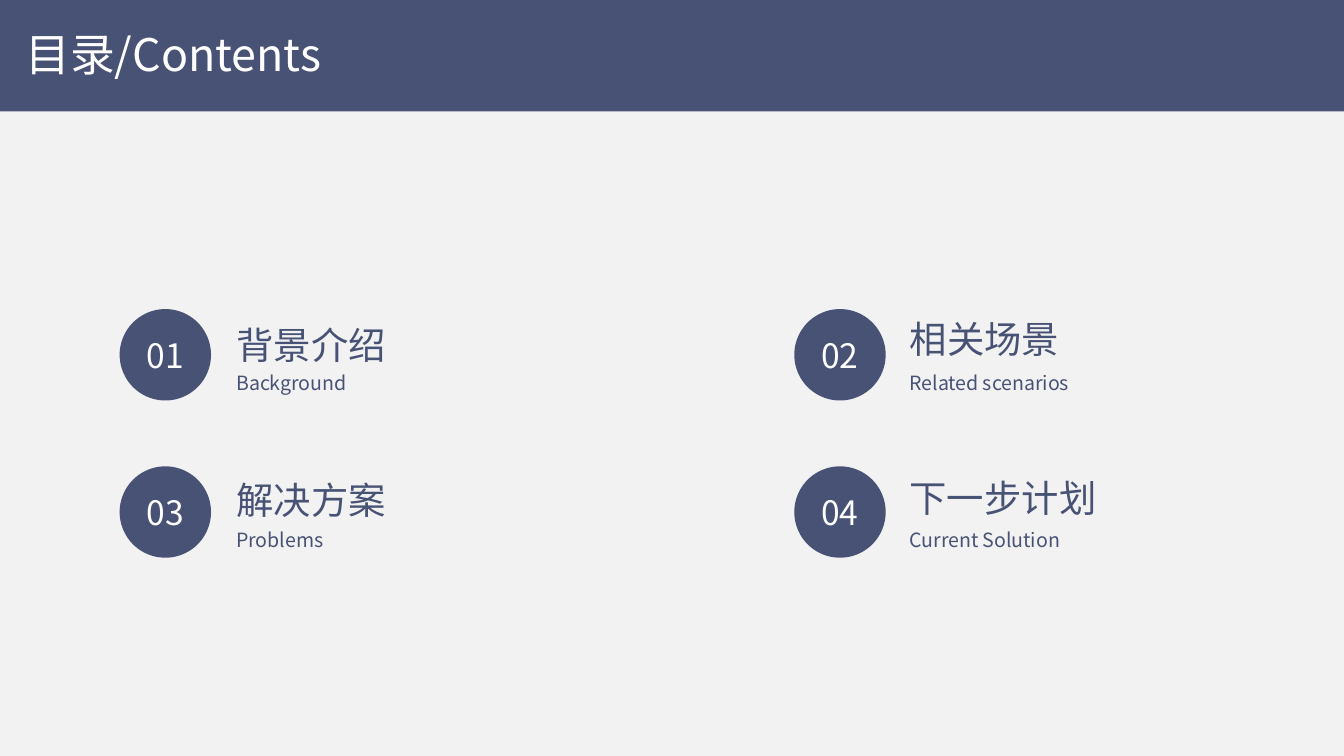
from lxml import etree
from pptx import Presentation
from pptx import util as u
from pptx.dml.color import RGBColor
from pptx.enum import shapes, text
from pptx.oxml.ns import qn

W = 10
H = W * 9 / 16
FONT = "Noto Sans CJK SC"
NAVY, PALE, WHITE = "485275", "F2F2F2", "FFFFFF"

# Contents grid: left edges of columns, top edges of rows
COLS, ROWS = (0.89, 5.91), (2.3, 3.47)
DISC = 0.68
TEXT_DX, SUB_DY = (0.77, 0.76), 0.41

# number, heading, subheading, heading drop, heading width, subheading width
ITEMS = [
    ("01", "背景介绍", "Background", 0.05, 1.31, 2.1),
    ("02", "相关场景", "Related scenarios", 0, 1.31, 3.33),
    ("03", "解决方案", "Problems", 0.03, 1.31, 2.1),
    ("04", "下一步计划", "Current Solution", 0.02, 1.87, 1.94),
]


def rgb(value):
    return RGBColor.from_string(value)


def write(sp, words, size, color, **para):
    tf = sp.text_frame
    tf.word_wrap = True
    p = tf.paragraphs[0]
    for name, value in para.items():
        setattr(p, name, value)
    r = p.add_run()
    r.text = words
    for name, value in {"name": FONT, "size": u.Pt(size)}.items():
        setattr(r.font, name, value)
    r.font.color.rgb = rgb(color)
    # East Asian typeface
    ea = etree.SubElement(r.font._element, qn("a:ea"))
    ea.set("typeface", FONT)


def add_text(s, box, words, size, color):
    sp = s.shapes.add_textbox(*map(u.Inches, box))
    write(sp, words, size, color)
    sp.text_frame.margin_right = 0


def add_block(s, kind, box):
    sp = s.shapes.add_shape(kind, *map(u.Inches, box))
    sp.shadow.inherit = False
    sp.fill.solid()
    sp.fill.fore_color.rgb = rgb(NAVY)
    sp.line.fill.background()
    return sp


def header(s, x, y, w, h):
    add_block(s, shapes.MSO_SHAPE.RECTANGLE, (x, y, w, h))
    add_text(s, (x + 0.09, y + 0.15, 3.52, 0.5), "目录/Contents", 24, WHITE)


def entry(s, x, y, dx, number, heading, sub, drop, head_w, sub_w):
    # Numbered disc
    disc = add_block(s, shapes.MSO_SHAPE.OVAL, (x, y, DISC, DISC))
    disc.text_frame.vertical_anchor = text.MSO_ANCHOR.MIDDLE
    write(disc, number, 18, WHITE, alignment=text.PP_ALIGN.CENTER)
    # Heading and subheading
    left = x + dx
    add_text(s, (left, y + drop, head_w, 0.44), heading, 20, NAVY)
    add_text(s, (left, y + SUB_DY, sub_w, 0.28), sub, 10.5, NAVY)


def main():
    prs = Presentation()
    prs.slide_width, prs.slide_height = u.Inches(W), u.Inches(H)
    s = prs.slides.add_slide(prs.slide_layouts[6])
    s.background.fill.solid()
    s.background.fill.fore_color.rgb = rgb(PALE)

    # Contents entries, row by row
    for i, item in enumerate(ITEMS):
        row, col = divmod(i, len(COLS))
        entry(s, COLS[col], ROWS[row], TEXT_DX[col], *item)

    # Title band
    header(s, 0, 0, W, 0.83)
    prs.save("out.pptx")


if __name__ == "__main__":
    main()
